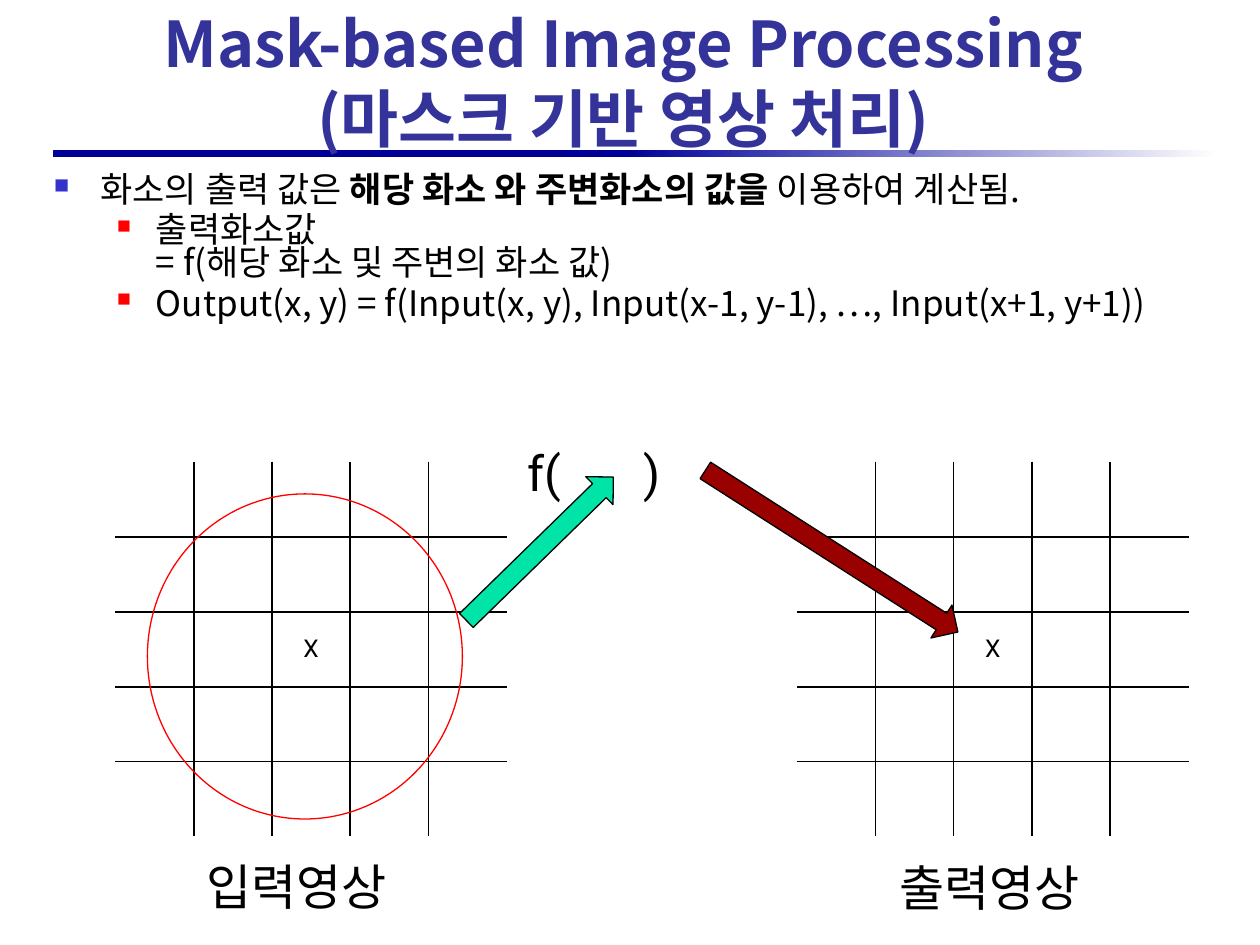
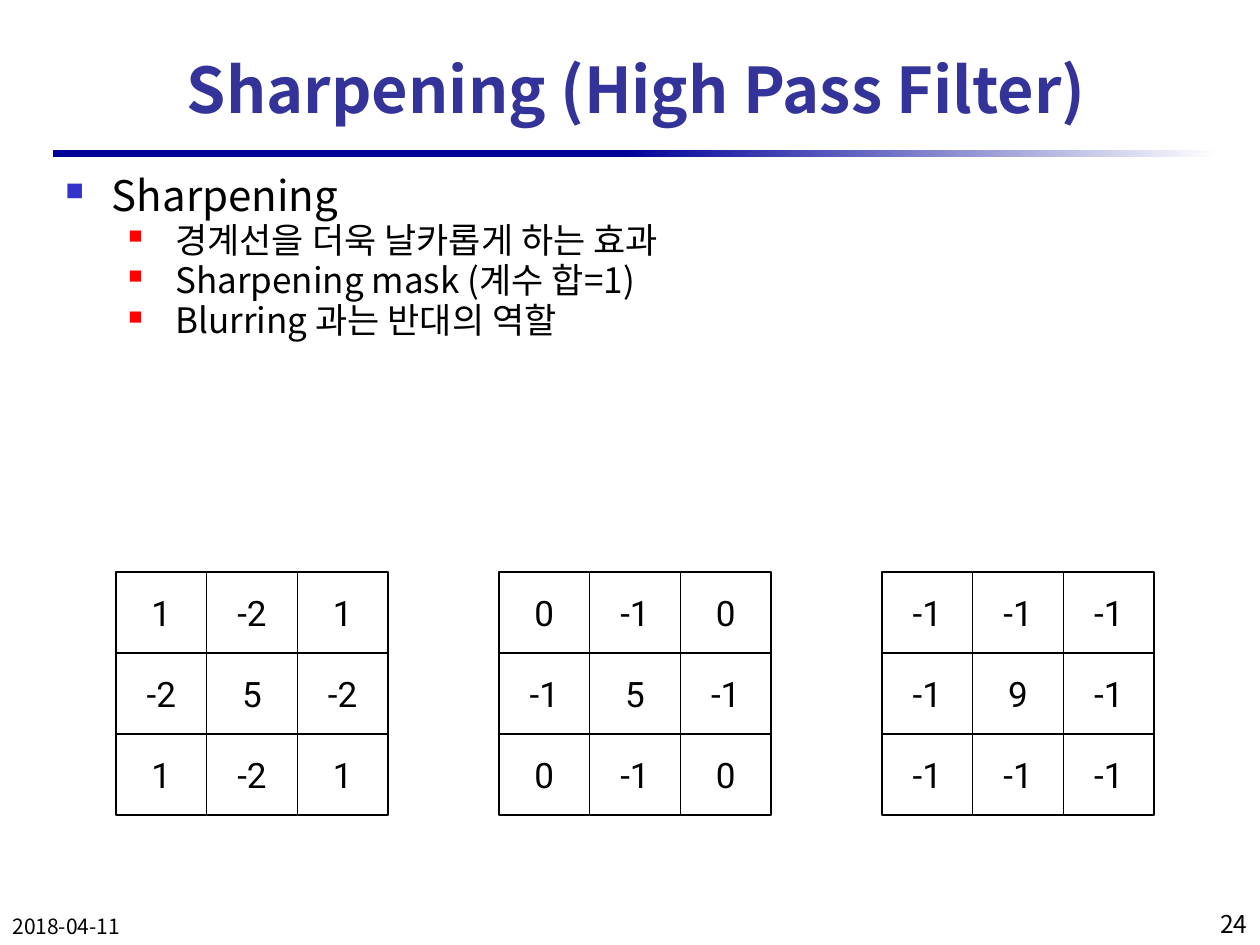
from itertools import product

from lxml.etree import SubElement
from pptx import Presentation
from pptx.dml.color import RGBColor
from pptx.enum.shapes import MSO_SHAPE
from pptx.enum.text import MSO_ANCHOR, PP_ALIGN
from pptx.oxml.ns import qn
from pptx.util import Inches, Pt

COLORS = {name: RGBColor.from_string(value) for name, value in {
    "black": "000000", "white": "FFFFFF", "title": "333399", "bar": "000099",
    "bullet": "3333CC", "sub_bullet": "FF0000", "mask_circle": "FF0000",
    "input_arrow": "00E4A8", "output_arrow": "990000",
}.items()}
TEXT_FONT, FIGURE_FONT = "Noto Sans CJK KR", "Roboto"

deck = Presentation()
deck.slide_width, deck.slide_height = Inches(10), Inches(7.5)


def share(left, top, width, height):
    """Turn percentages of the slide's size into lengths."""
    across, down = deck.slide_width / 100, deck.slide_height / 100
    return [int(left * across), int(top * down), int(width * across), int(height * down)]


def write(frame, text, size, font=TEXT_FONT, color="black", align=PP_ALIGN.LEFT,
          anchor=MSO_ANCHOR.TOP, bold=False, line=None):
    """Fill a text frame and format all of its runs."""
    frame.text = text
    frame.word_wrap = True
    frame.vertical_anchor = anchor
    for para in frame.paragraphs:
        para.alignment = align
        para.line_spacing = line
        for span in para.runs:
            span.font.size, span.font.name, span.font.bold = Pt(size), font, bold
            span.font.color.rgb = COLORS[color]
            SubElement(span.font._element, qn("a:ea"), typeface=font)


# Content: "|" switches bold on and off, each entry is (level, size, text)
slides = [
    {
        "title": "Mask-based Image Processing\v(마스크 기반 영상 처리)",
        "title_at": (9.2, 0.5, 80.5, 16),
        "body_at": (3.3, 18, 90, 76.67),
        "body": [
            (0, 20, "화소의 출력 값은 |해당 화소 와 주변화소의 값을 |이용하여 계산됨."),
            (1, 20, "출력화소값\v= f(해당 화소 및 주변의 화소 값)"),
            (1, 20, "Output(x, y) = f(Input(x, y), Input(x-1, y-1), …, Input(x+1, y+1))"),
        ],
    },
    {
        "title": "Sharpening (High Pass Filter)",
        "title_at": (8.3, 3.83, 84.4, 11.1),
        "body_at": (4.2, 18.4, 92.5, 76.67),
        "body": [
            (0, 24, "Sharpening"),
            (1, 20, " 경계선을 더욱 날카롭게 하는 효과"),
            (1, 20, " Sharpening mask (계수 합=1)"),
            (1, 20, " Blurring 과는 반대의 역할"),
        ],
    },
]
# Margin, indent, bullet colour and bullet size of each level
levels = [(0.37, -0.37, "bullet", 60), (0.81, -0.31, "sub_bullet", 55)]

# Parts that both slides share: bar, title and bulleted body
pages = []
for content in slides:
    page = deck.slides.add_slide(deck.slide_layouts[6])
    pages.append(page)

    bar = page.shapes.add_shape(MSO_SHAPE.ROUNDED_RECTANGLE, *share(4.2, 15.87, 92.5, 0.8))
    bar.shadow.inherit = False
    bar.line.fill.background()
    bar.fill.gradient()
    bar.fill.gradient_angle = 0
    for stop, position, color in zip(bar.fill.gradient_stops, (0.49, 1), ("bar", "white")):
        stop.position = position
        stop.color.rgb = COLORS[color]

    title = page.shapes.add_textbox(*share(*content["title_at"]))
    write(title.text_frame, content["title"], 36, color="title", align=PP_ALIGN.CENTER,
          anchor=MSO_ANCHOR.MIDDLE, bold=True, line=Pt(43))

    body = page.shapes.add_textbox(*share(*content["body_at"]))
    frame = body.text_frame
    write(frame, "\n".join(text.split("|")[0] for _, _, text in content["body"]), 20)
    for para, (level, size, text) in zip(frame.paragraphs, content["body"]):
        for part in text.split("|")[1:]:
            para.add_run().text = part
        for number, span in enumerate(para.runs):
            span.font.size, span.font.name = Pt(size), TEXT_FONT
            span.font.bold = "|" in text and number == 1
            span.font.color.rgb = COLORS["black"]
        para.line_spacing = Pt(size * 0.95)
        para.space_before = Pt(size * 0.2)
        margin, indent, color, bullet_size = levels[level]
        properties = para._p.get_or_add_pPr()
        properties.set("lvl", str(level))
        properties.set("marL", str(Inches(margin)))
        properties.set("indent", str(Inches(indent)))
        bullet_color = SubElement(properties, qn("a:buClr"))
        SubElement(bullet_color, qn("a:srgbClr"), val=str(COLORS[color]))
        SubElement(properties, qn("a:buSzPct"), val=str(bullet_size * 1000))
        SubElement(properties, qn("a:buChar"), char="■")

mask_page, sharpening_page = pages

# Pixel grids: black inner borders, white outer ones
GRID = 5
for left in (9.2, 63.3):
    table = mask_page.shapes.add_table(GRID, GRID, *share(left, 48.93, 31, 39.6)).table
    table.first_row = table.horz_banding = False
    for row, column in product(range(GRID), repeat=2):
        cell = table.cell(row, column)
        properties = cell._tc.get_or_add_tcPr()
        outer_sides = {"L": column == 0, "R": column == GRID - 1,
                       "T": row == 0, "B": row == GRID - 1}
        for side, outer in outer_sides.items():
            border = SubElement(properties, qn(f"a:ln{side}"), w=str(Pt(1)))
            fill = SubElement(border, qn("a:solidFill"))
            SubElement(fill, qn("a:srgbClr"), val=str(COLORS["white" if outer else "black"]))
        cell.fill.background()
    center = table.cell(GRID // 2, GRID // 2)
    write(center.text_frame, "X", 14, FIGURE_FONT, align=PP_ALIGN.CENTER)
    center.vertical_anchor = MSO_ANCHOR.MIDDLE

# Mask circle and the arrows through the function
figures = [
    (MSO_SHAPE.OVAL, (11.7, 52.27, 25, 34.4), 0, None, "mask_circle"),
    (MSO_SHAPE.RIGHT_ARROW, (34.7, 56, 16.3, 4.13), 315.7, "input_arrow", "black"),
    (MSO_SHAPE.RIGHT_ARROW, (54.1, 56.27, 23.8, 4.13), 32.6, "output_arrow", "black"),
]
for kind, place, rotation, fill_color, line_color in figures:
    figure = mask_page.shapes.add_shape(kind, *share(*place))
    figure.shadow.inherit = False
    figure.rotation = rotation
    if fill_color:
        figure.fill.solid()
        figure.fill.fore_color.rgb = COLORS[fill_color]
    else:
        figure.fill.background()
    figure.line.color.rgb = COLORS[line_color]
    figure.line.width = Pt(0.75)

# Function and grid labels; a tab stop keeps the brackets apart
labels = [("f(\t)", 40.9, 46.13), ("입력영상", 15.4, 90), ("출력영상", 70.4, 90.13)]
for text, left, top in labels:
    label = mask_page.shapes.add_textbox(*share(left, top, 19, 7.6))
    write(label.text_frame, text, 28, FIGURE_FONT)
    if "\t" in text:
        properties = label.text_frame.paragraphs[0]._p.get_or_add_pPr()
        stops = SubElement(properties, qn("a:tabLst"))
        SubElement(stops, qn("a:tab"), pos=str(Inches(0.92)), algn="l")

# Sharpening masks
masks = [
    [[1, -2, 1], [-2, 5, -2], [1, -2, 1]],
    [[0, -1, 0], [-1, 5, -1], [0, -1, 0]],
    [[-1, -1, -1], [-1, 9, -1], [-1, -1, -1]],
]
CELL_WIDTH, CELL_HEIGHT, MASK_STEP = 7.2, 8.58, 30.4
for number, mask in enumerate(masks):
    for row, column in product(range(3), repeat=2):
        box = sharpening_page.shapes.add_shape(MSO_SHAPE.RECTANGLE, *share(
            9.2 + number * MASK_STEP + column * CELL_WIDTH, 60.53 + row * CELL_HEIGHT,
            CELL_WIDTH, CELL_HEIGHT))
        box.shadow.inherit = False
        box.fill.background()
        box.line.color.rgb = COLORS["black"]
        box.line.width = Pt(0.75)
        write(box.text_frame, str(mask[row][column]), 20, FIGURE_FONT,
              align=PP_ALIGN.CENTER, anchor=MSO_ANCHOR.MIDDLE)

# Footer: date and page number
for text, size, left, width, align in [("2018-04-11", 12, 0, 10.8, PP_ALIGN.LEFT),
                                       ("24", 14, 95, 5, PP_ALIGN.RIGHT)]:
    footer = sharpening_page.shapes.add_textbox(*share(left, 95.6, width, 4.4))
    write(footer.text_frame, text, size, align=align, anchor=MSO_ANCHOR.BOTTOM)

deck.save("out.pptx")
